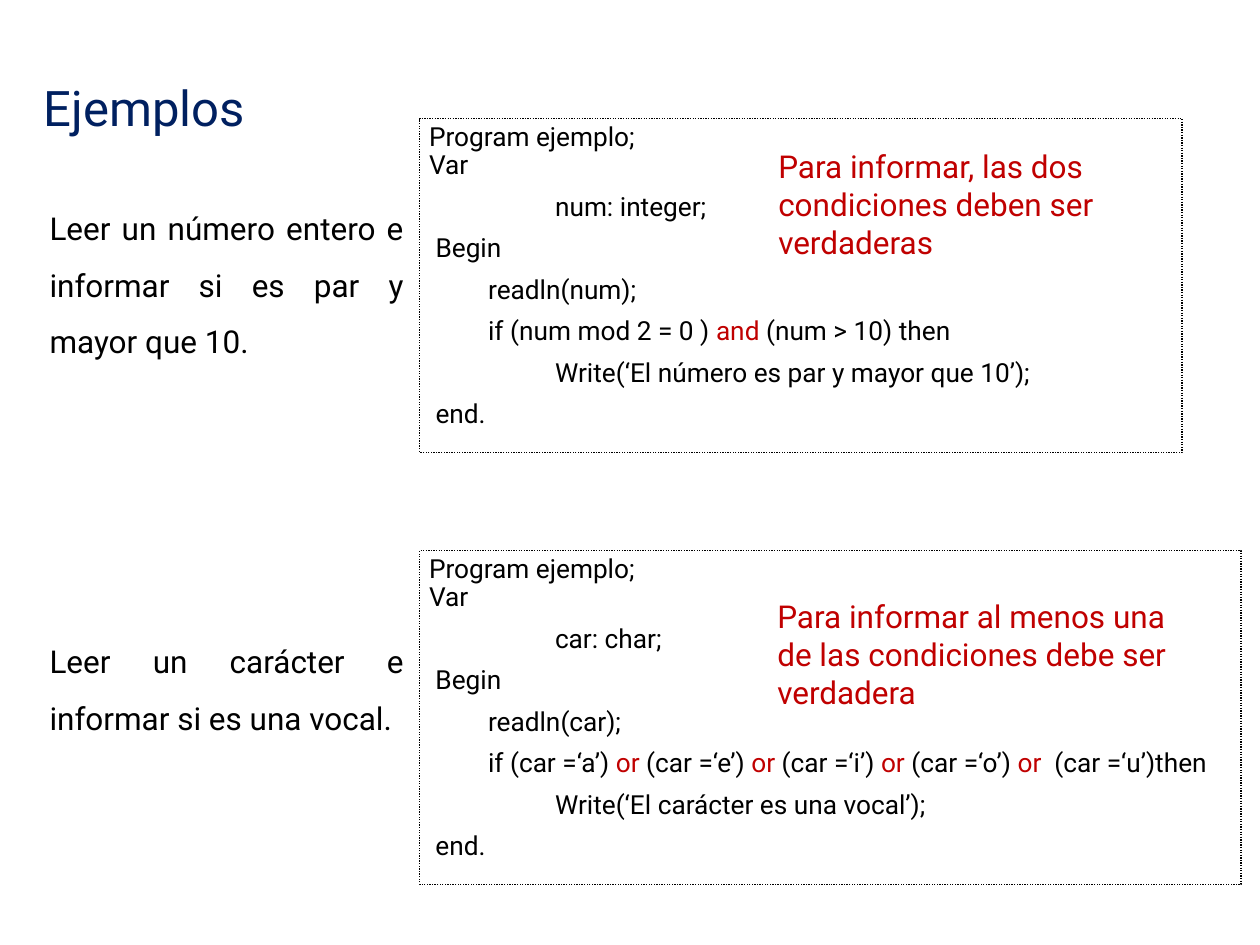
from dataclasses import dataclass

import pptx
import pptx.dml.color
import pptx.enum.dml
import pptx.enum.text
import pptx.util
from lxml import etree
from pptx.util import Cm, Pt

COLOURS = {"title": "002060", "text": "000000", "accent": "C00000", "paper": "FFFFFF"}
FONT = "Roboto"
CODE_INDENTS = [Cm(0), Cm(0.13), Cm(1.19), Cm(2.54)]
ALIGN = pptx.enum.text.PP_ALIGN


@dataclass
class Area:
    """A rectangle in centimetres."""
    left: float
    top: float
    width: float
    height: float

    def lengths(self) -> list:
        return [Cm(v) for v in (self.left, self.top, self.width, self.height)]


@dataclass
class CodeLine:
    """A line of code; the parts between bars are highlighted."""
    text: str
    level: int = 0


@dataclass
class Example:
    task: str
    task_area: Area
    declaration: str
    read: str
    condition: str
    message: str
    code_area: Area
    note: str
    note_area: Area

    def code_lines(self) -> list[CodeLine]:
        return [
            CodeLine("Program ejemplo;"),
            CodeLine("Var"),
            CodeLine(self.declaration, 3),
            CodeLine("Begin", 1),
            CodeLine(self.read, 2),
            CodeLine(self.condition, 2),
            CodeLine(f"Write(‘{self.message}’);", 3),
            CodeLine("end.", 1),
        ]


EXAMPLES = [
    Example(
        "Leer un número entero e informar si es par y mayor que 10.",
        Area(0.81, 3.73, 7.52, 4.34),
        "num: integer;", "readln(num);",
        "if (num mod 2 = 0 ) |and| (num > 10) then",
        "El número es par y mayor que 10",
        Area(8.46, 2.39, 15.37, 6.73),
        "Para informar, las dos condiciones deben ser verdaderas",
        Area(15.44, 2.84, 7.98, 2.57),
    ),
    Example(
        "Leer un carácter e informar si es una vocal.",
        Area(0.81, 12.47, 7.52, 3.18),
        "car: char;", "readln(car);",
        "if (car =‘a’) |or| (car =‘e’) |or| (car =‘i’) |or| (car =‘o’) |or|  (car =‘u’)then",
        "El carácter es una vocal",
        Area(8.46, 11.1, 16.56, 6.73),
        "Para informar al menos una de las condiciones debe ser verdadera",
        Area(15.42, 11.91, 8.41, 2.57),
    ),
]


def colour(name: str) -> pptx.dml.color.RGBColor:
    return pptx.dml.color.RGBColor.from_string(COLOURS[name])


def style_span(span, size: float, colour_name: str) -> None:
    span.font.name = FONT
    span.font.size = Pt(size)
    span.font.color.rgb = colour(colour_name)


def place(box, area: Area) -> None:
    box.left, box.top, box.width, box.height = area.lengths()


def prepare_frame(box, side: float = 0.19, edge: float = 0.1,
                  anchor=pptx.enum.text.MSO_ANCHOR.TOP):
    """Set wrapping, anchor and margins in centimetres; return the frame."""
    frame = box.text_frame
    frame.word_wrap = True
    frame.auto_size = pptx.enum.text.MSO_AUTO_SIZE.NONE
    frame.vertical_anchor = anchor
    frame.margin_left = frame.margin_right = Cm(side)
    frame.margin_top = frame.margin_bottom = Cm(edge)
    return frame


def write_single(frame, text: str, size: float, colour_name: str, align=ALIGN.LEFT):
    """Fill the frame with one formatted paragraph and return it."""
    frame.text = text
    para = frame.paragraphs[0]
    para.alignment = align
    style_span(para.runs[0], size, colour_name)
    return para


def write_title(title) -> None:
    place(title, Area(0.69, 0.84, 21.89, 2.77))
    frame = prepare_frame(title, anchor=pptx.enum.text.MSO_ANCHOR.MIDDLE)
    write_single(frame, "Ejemplos", 28, "title").line_spacing = 0.9


def indent_plain(para, indent: int) -> None:
    """Give the paragraph a left indent and no bullet."""
    properties = para._p.get_or_add_pPr()
    properties.set("marL", str(int(indent)))
    properties.set("indent", "0")
    etree.SubElement(properties, pptx.oxml.ns.qn("a:buNone"))


def write_code(box, lines: list[CodeLine]) -> None:
    box.line.color.rgb = colour("text")
    box.line.width = Pt(0.75)
    box.line.dash_style = pptx.enum.dml.MSO_LINE.ROUND_DOT
    frame = prepare_frame(box)
    for number, line in enumerate(lines):
        para = frame.add_paragraph() if number else frame.paragraphs[0]
        para.line_spacing = 0.9
        para.space_before = Pt(7.5 if number > 1 else 0)
        indent_plain(para, CODE_INDENTS[line.level])
        for part, text in enumerate(line.text.split("|")):
            span = para.add_run()
            span.text = text
            style_span(span, 15, "accent" if part % 2 else "text")


def add_task(page, example: Example) -> None:
    box = page.shapes.add_textbox(*example.task_area.lengths())
    para = write_single(prepare_frame(box), example.task, 18, "text", ALIGN.JUSTIFY)
    para.line_spacing = 1.5
    para.space_before = Pt(13.5)
    para.space_after = Pt(4.5)


def add_note(page, example: Example) -> None:
    box = page.shapes.add_textbox(*example.note_area.lengths())
    box.fill.solid()
    box.fill.fore_color.rgb = colour("paper")
    write_single(prepare_frame(box, 0.25, 0.13), example.note, 18, "accent")


def main() -> None:
    deck = pptx.Presentation()
    deck.slide_width, deck.slide_height = Cm(25.4), Cm(19.05)
    page = deck.slides.add_slide(deck.slide_layouts[1])
    write_title(page.shapes.title)
    for number, example in enumerate(EXAMPLES):
        if number == 0:
            code_box = page.placeholders[1]
            place(code_box, example.code_area)
        else:
            code_box = page.shapes.add_textbox(*example.code_area.lengths())
        write_code(code_box, example.code_lines())
        add_task(page, example)
        add_note(page, example)
    deck.save("out.pptx")


if __name__ == "__main__":
    main()
